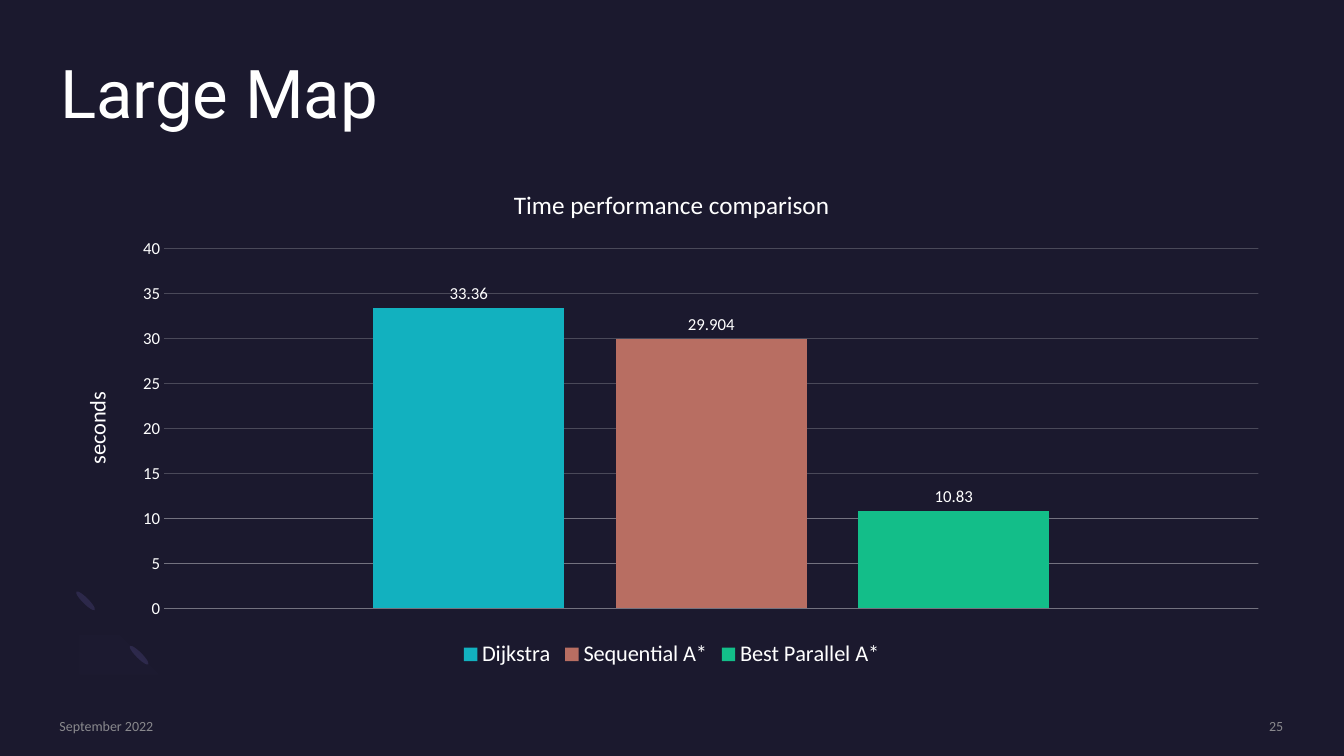
from lxml import etree
from pptx import Presentation
from pptx.chart.data import CategoryChartData
from pptx.dml.color import RGBColor
from pptx.enum import chart as ch, text as t
from pptx.oxml import parse_xml
from pptx.oxml.ns import nsdecls, qn
from pptx.enum.shapes import MSO_SHAPE
from pptx.util import Cm, Pt

NIGHT = RGBColor(0x1B, 0x19, 0x2E)
PETAL = RGBColor(0x2C, 0x28, 0x4A)
LILAC = RGBColor(0x77, 0x71, 0xB2)
WHITE = RGBColor(0xFF, 0xFF, 0xFF)
GREY = RGBColor(0xA6, 0xA6, 0xA6)
TEAL = RGBColor(0x12, 0xB1, 0xBF)
CLAY = RGBColor(0xB8, 0x6E, 0x62)
GREEN = RGBColor(0x13, 0xBE, 0x89)


def set_opacity(element, percent):
    """Make every RGB colour below the element partly transparent."""
    for color in element.iter(qn("a:srgbClr")):
        etree.SubElement(color, qn("a:alpha")).set("val", str(percent * 1000))


def set_font(font, size, color=WHITE, name="Calibri"):
    font.size = Pt(size)
    font.name = name
    font.bold = False
    font.color.rgb = color


presentation = Presentation()
presentation.slide_width = Cm(33.87)
presentation.slide_height = Cm(19.05)
slide = presentation.slides.add_slide(presentation.slide_layouts[5])
slide.background.fill.solid()
slide.background.fill.fore_color.rgb = NIGHT

# Corner decoration: two petals and a faint arc
for left, top in ((3.43, 16.18), (2.08, 14.81)):
    petal = slide.shapes.add_shape(MSO_SHAPE.OVAL, Cm(left), Cm(top), Cm(0.15), Cm(0.66))
    petal.rotation = 135
    petal.shadow.inherit = False
    petal.fill.solid()
    petal.fill.fore_color.rgb = PETAL
    petal.line.fill.background()

arc_curves = (
    ((1.93, 16.74), (1.42, 16.23), (1.47, 15.37), (2.06, 14.78)),
    ((2.51, 15.24), (2.21, 15.52), (2.18, 15.98), (2.44, 16.21)),
    ((2.44, 16.21), (2.69, 16.46), (3.12, 16.43), (3.43, 16.15)),
    ((3.86, 16.61), (3.3, 17.17), (2.41, 17.25), (1.93, 16.74)),
)
arc_points = []
for curve in arc_curves:
    for step in range(11):
        s = step / 10
        weights = ((1 - s) ** 3, 3 * s * (1 - s) ** 2, 3 * s * s * (1 - s), s ** 3)
        arc_points.append([sum(w * p[axis] for w, p in zip(weights, curve)) for axis in (0, 1)])
builder = slide.shapes.build_freeform(*arc_points[0], scale=Cm(1))
builder.add_line_segments(arc_points[1:], close=True)
arc = builder.convert_to_shape()
arc.shadow.inherit = False
arc.fill.solid()
arc.fill.fore_color.rgb = LILAC
set_opacity(arc.fill.fore_color._xFill, 2)
arc.line.fill.background()

# Title
title = slide.shapes.title
title.left, title.top, title.width, title.height = Cm(1.52), Cm(1.52), Cm(30.81), Cm(3.71)
title.text_frame.text = "Large Map"
frame = title.text_frame
frame.margin_left = frame.margin_right = frame.margin_top = frame.margin_bottom = 0
frame.vertical_anchor = t.MSO_ANCHOR.TOP
frame.auto_size = t.MSO_AUTO_SIZE.NONE
frame.paragraphs[0].alignment = t.PP_ALIGN.LEFT
frame.paragraphs[0].line_spacing = 0.9
set_font(frame.paragraphs[0].runs[0].font, 48, name="Roboto")

# Chart
algorithms = (("Dijkstra", 33.36, TEAL), ("Sequential A*", 29.904, CLAY), ("Best Parallel A*", 10.83, GREEN))
chart_data = CategoryChartData()
chart_data.categories = ["1"]
for name, seconds, _ in algorithms:
    chart_data.add_series(name, [seconds])
chart = slide.shapes.add_chart(
    ch.XL_CHART_TYPE.COLUMN_CLUSTERED, Cm(1.52), Cm(4.22), Cm(30.81), Cm(12.73), chart_data
).chart
set_font(chart.font, 10)
chart.has_title = True
chart.chart_title.include_in_layout = False
chart.chart_title.text_frame.text = "Time performance comparison"
set_font(chart.chart_title.text_frame.paragraphs[0].runs[0].font, 18)
chart.has_legend = True
chart.legend.position = ch.XL_LEGEND_POSITION.BOTTOM
chart.legend.include_in_layout = False
set_font(chart.legend.font, 16)

chart.category_axis.visible = False
axis = chart.value_axis
axis.minimum_scale, axis.maximum_scale, axis.major_unit = 0, 40, 5
axis.major_tick_mark = ch.XL_TICK_MARK.NONE
axis.format.line.fill.background()
set_font(axis.tick_labels.font, 12)
axis.axis_title.text_frame.text = "seconds"
set_font(axis.axis_title.text_frame.paragraphs[0].runs[0].font, 16)
gridline = axis.major_gridlines.format.line
gridline.width = Pt(0.25)
gridline.color.rgb = WHITE
set_opacity(gridline._get_or_add_ln(), 60)

plot = chart.plots[0]
plot.gap_width, plot.overlap = 219, -27
plot.vary_by_categories = False
for series, (_, _, color) in zip(plot.series, algorithms):
    series.format.fill.solid()
    series.format.fill.fore_color.rgb = color
    labels = series.data_labels
    labels.show_value = True
    labels.position = ch.XL_LABEL_POSITION.OUTSIDE_END
    set_font(labels.font, 12)

plot_area = chart._chartSpace.chart.plotArea
for old_layout in plot_area.findall(qn("c:layout")):
    plot_area.remove(old_layout)
plot_area.insert(0, parse_xml(
    f'<c:layout {nsdecls("c")}><c:manualLayout><c:layoutTarget val="inner"/>'
    '<c:xMode val="edge"/><c:yMode val="edge"/><c:x val="0.085"/><c:y val="0.16"/>'
    '<c:w val="0.895"/><c:h val="0.713"/></c:manualLayout></c:layout>'
))

# Footer
for words, left, width, alignment in (
    ("September 2022", 1.5, 7.32, t.PP_ALIGN.LEFT),
    ("25", 27.64, 4.7, t.PP_ALIGN.RIGHT),
):
    frame = slide.shapes.add_textbox(Cm(left), Cm(18.08), Cm(width), Cm(0.43)).text_frame
    frame.word_wrap = True
    frame.margin_left = frame.margin_right = frame.margin_top = frame.margin_bottom = 0
    frame.vertical_anchor = t.MSO_ANCHOR.MIDDLE
    frame.text = words
    frame.paragraphs[0].alignment = alignment
    set_font(frame.paragraphs[0].runs[0].font, 10, GREY)
    set_opacity(frame._txBody, 80)

presentation.save("out.pptx")
